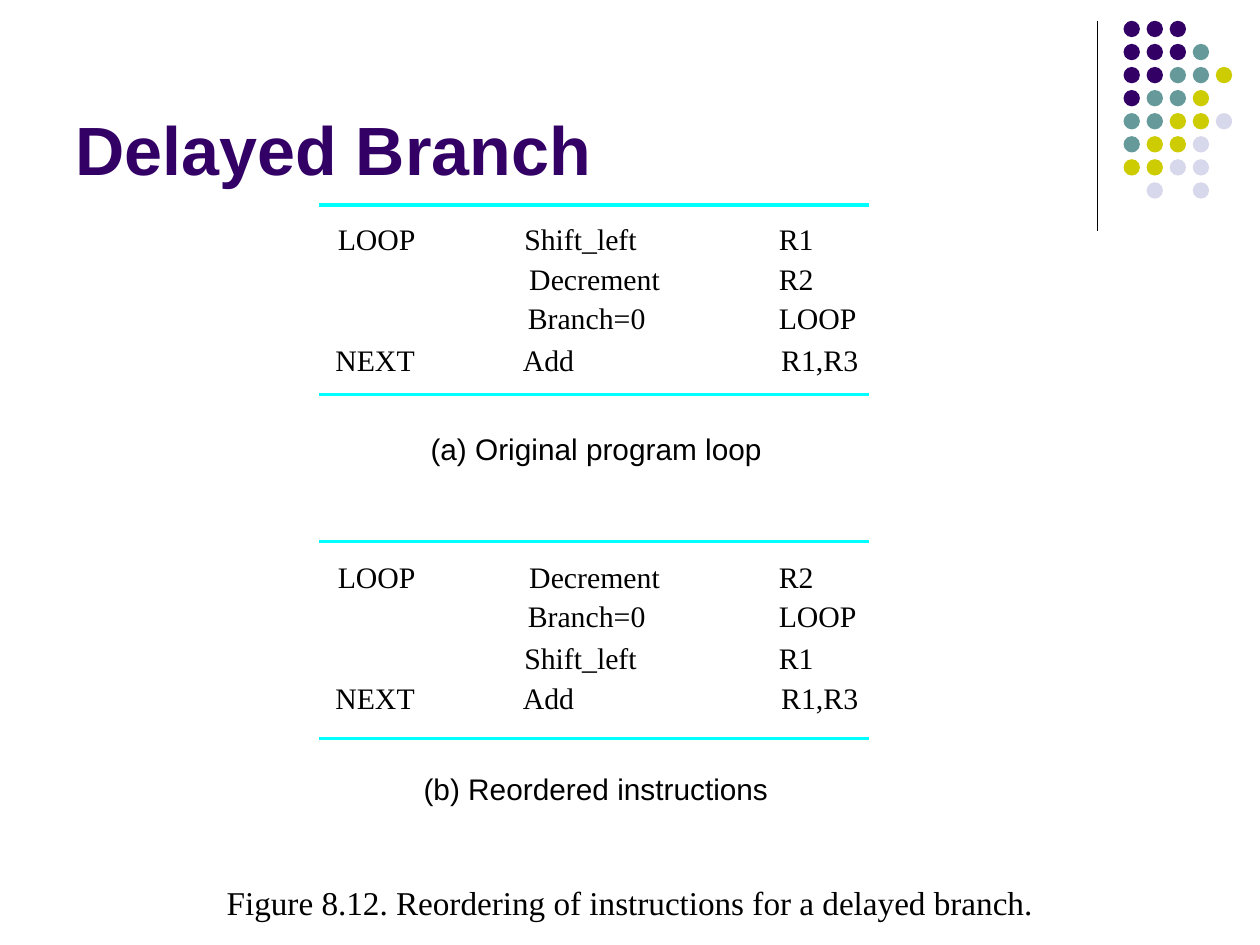
from lxml.etree import SubElement
from pptx import Presentation
from pptx.dml.color import RGBColor
from pptx.enum.shapes import MSO_CONNECTOR as Conn, MSO_SHAPE as Shape
from pptx.enum.text import MSO_ANCHOR as Anchor, MSO_AUTO_SIZE as Fit
from pptx.oxml.ns import qn
from pptx.util import Cm, Pt

BLACK = RGBColor(0, 0, 0)
PURPLE = RGBColor(0x33, 0x00, 0x66)
TEAL = RGBColor(0x66, 0x99, 0x99)
OLIVE = RGBColor(0xCC, 0xCC, 0x00)
LILAC = RGBColor(0xD8, 0xD8, 0xEC)
CYAN = RGBColor(0x00, 0xFF, 0xFF)

SERIF, SANS = "Times New Roman", "Arial"
TINTS = {"P": PURPLE, "T": TEAL, "O": OLIVE, "L": LILAC}
DOTS = ("PPP", "PPPT", "PPTTO", "PTTO", "TTOOL", "TOOL", "OOLL", " L L")

COLS = (0.38, 4.14, 9.27)
WORDS = {
    "LOOP": (0, 1.65),
    "NEXT": (-0.05, 1.7),
    "Shift_left": (0, 2.35),
    "Decrement": (0.1, 2.75),
    "Branch=0": (0.07, 2.5),
    "Add": (-0.03, 1.15),
    "R1": (0, 0.8),
    "R2": (0, 0.8),
    "R1,R3": (0.05, 1.65),
}
FIRST = (
    (0.32, ("LOOP", "Shift_left", "R1")),
    (1.12, ("", "Decrement", "R2")),
    (1.91, ("", "Branch=0", "LOOP")),
    (2.76, ("NEXT", "Add", "R1,R3")),
)
SECOND = (
    (0.34, ("LOOP", "Decrement", "R2")),
    (1.13, ("", "Branch=0", "LOOP")),
    (1.98, ("", "Shift_left", "R1")),
    (2.78, ("NEXT", "Add", "R1,R3")),
)


def add_line(slide, x1, y1, x2, y2, color, width):
    """Draw a straight line without a shadow."""
    line = slide.shapes.add_connector(Conn.STRAIGHT, Cm(x1), Cm(y1), Cm(x2), Cm(y2))
    line.line.color.rgb = color
    line.line.width = Pt(width)
    SubElement(line._element.spPr, qn("a:effectLst"))


def style(frame, font, size, color, bold=False):
    """Format the only run of a text frame."""
    face = frame.paragraphs[0].runs[0].font
    face.name, face.size, face.bold = font, Pt(size), bold
    face.color.rgb = color


def add_label(slide, x, y, w, h, text, font=SERIF, size=17):
    """Place a single line of text without margins."""
    frame = slide.shapes.add_textbox(Cm(x), Cm(y), Cm(w), Cm(h)).text_frame
    frame.margin_left = frame.margin_right = 0
    frame.margin_top = frame.margin_bottom = 0
    frame.word_wrap = True
    frame.auto_size = Fit.SHAPE_TO_FIT_TEXT
    frame.text = text
    style(frame, font, size, BLACK)


def add_title(slide, x, y, w, h, text):
    """Place the heading at the bottom of its box."""
    frame = slide.shapes.add_textbox(Cm(x), Cm(y), Cm(w), Cm(h)).text_frame
    frame.word_wrap = True
    frame.vertical_anchor = Anchor.BOTTOM
    frame.text = text
    style(frame, SANS, 39, PURPLE, True)


def add_corner(slide, x, y, h):
    """Draw the corner rule and its grid of dots."""
    add_line(slide, x, y, x, y + h, BLACK, 0.75)
    group = slide.shapes.add_group_shape()
    for row, marks in enumerate(DOTS):
        for col, mark in enumerate(marks):
            if mark in TINTS:
                left, top = x + 0.53 + col * 0.465, y + row * 0.465
                dot = group.shapes.add_shape(
                    Shape.OVAL, Cm(left), Cm(top), Cm(0.33), Cm(0.33))
                dot.shadow.inherit = False
                dot.fill.solid()
                dot.fill.fore_color.rgb = TINTS[mark]
                dot.line.fill.background()


def add_code(slide, x, y, w, h, rows):
    """Set a code listing between two rules."""
    for level in (y, y + h):
        add_line(slide, x + w, level, x, level, CYAN, 1.87)
    for drop, cells in rows:
        for col, word in zip(COLS, cells):
            if word:
                nudge, width = WORDS[word]
                add_label(slide, x + col + nudge, y + drop, width, 0.71, word)


def main():
    """Build and save the slide."""
    deck = Presentation()
    deck.slide_width, deck.slide_height = Cm(25.4), Cm(19.05)
    slide = deck.slides.add_slide(deck.slide_layouts[6])
    add_corner(slide, 22.12, 0.42, 4.23)
    add_title(slide, 1.27, 0.33, 20.96, 3.61, "Delayed Branch")
    add_code(slide, 6.43, 4.13, 11.09, 3.82, FIRST)
    add_label(slide, 8.68, 8.69, 6.85, 0.71, "(a) Original program loop", SANS)
    add_code(slide, 6.43, 10.92, 11.09, 3.96, SECOND)
    add_label(slide, 8.54, 15.54, 7.15, 0.71, "(b) Reordered instructions", SANS)
    add_label(slide, 4.57, 17.78, 16.4, 0.81,
              "Figure 8.12. Reordering of instructions for a delayed branch.", size=19)
    deck.save("out.pptx")


if __name__ == "__main__":
    main()
